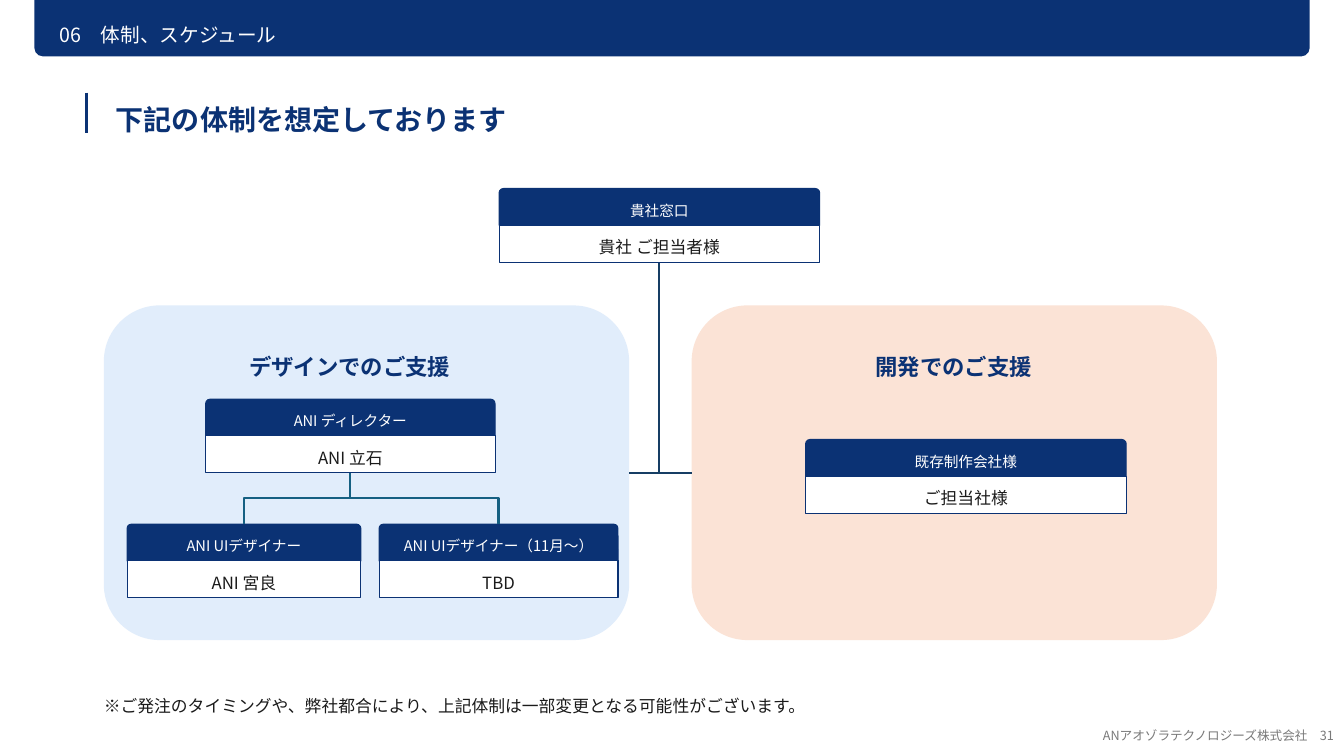
from lxml import etree
from pptx import Presentation, util as u
from pptx.dml.color import RGBColor
from pptx.enum import shapes, text
from pptx.oxml import ns

NAVY = RGBColor(0x0B, 0x32, 0x74)
WHITE = RGBColor(0xFF, 0xFF, 0xFF)
INK = RGBColor(0x1A, 0x1A, 0x1A)
GREY = RGBColor(0x79, 0x79, 0x79)
BLUE_TINT = RGBColor(0xE1, 0xED, 0xFB)
PEACH = RGBColor(0xFB, 0xE3, 0xD6)
LINK_NAVY = RGBColor(0x16, 0x3E, 0x64)
LINK_TEAL = RGBColor(0x15, 0x60, 0x82)
FONT = "Noto Sans CJK JP"

# Content
SECTION = "06\u3000体制、スケジュール"
TITLE = "下記の体制を想定しております"
NOTE = "※ご発注のタイミングや、弊社都合により、上記体制は一部変更となる可能性がございます。"
FOOTER = "ANアオゾラテクノロジーズ株式会社\u300031"
PANELS = [  # left, fill, heading, heading centre
    (1.03, BLUE_TINT, "デザインでのご支援", 3.47),
    (6.86, PEACH, "開発でのご支援", 9.46),
]
NODES = {  # role, person, left, top, width
    "client": ("貴社窓口", "貴社 ご担当者様", 4.95, 1.87, 3.18),
    "director": ("ANI ディレクター", "ANI 立石", 2.04, 3.96, 2.87),
    "designer": ("ANI UIデザイナー", "ANI 宮良", 1.26, 5.2, 2.32),
    "second designer": ("ANI UIデザイナー（11月〜）", "TBD", 3.76, 5.2, 2.37),
    "developer": ("既存制作会社様", "ご担当社様", 7.99, 4.36, 3.18),
}

# Layout in inches
WIDTH, HEIGHT = 13.33, 7.5
MARGIN, BANNER = 0.34, 0.56
PANEL_TOP, PANEL_WIDTH, PANEL_HEIGHT = 3.03, 5.21, 3.32
ROW = 0.365

deck = Presentation()
deck.slide_width, deck.slide_height = u.Inches(WIDTH), u.Inches(HEIGHT)
page = deck.slides.add_slide(deck.slide_layouts[6])


def inches(*lengths):
    return [u.Inches(length) for length in lengths]


def write(frame, words, size, colour, align, bold=False, spacing=1.3):
    frame.text = words
    para = frame.paragraphs[0]
    para.alignment = align
    para.line_spacing = spacing
    for span in para.runs:
        font = span.font
        font.size, font.bold, font.name = u.Pt(size), bold, FONT
        font.color.rgb = colour
        east_asian = etree.SubElement(span._r.get_or_add_rPr(), ns.qn("a:ea"))
        east_asian.set("typeface", FONT)


def add_text(area, words, size, colour, align=text.PP_ALIGN.LEFT, wrap=False, **style):
    box = page.shapes.add_textbox(*inches(*area))
    frame = box.text_frame
    frame.margin_left = frame.margin_right = frame.margin_top = frame.margin_bottom = 0
    frame.word_wrap = wrap
    write(frame, words, size, colour, align, **style)
    return frame


def add_block(parent, kind, area, fill, corners=None, outline=None):
    block = parent.shapes.add_shape(kind, *inches(*area))
    block.shadow.inherit = False
    block.fill.solid()
    block.fill.fore_color.rgb = fill
    for index, corner in enumerate(corners or ()):
        block.adjustments[index] = corner
    if outline is None:
        block.line.fill.background()
    else:
        block.line.color.rgb, block.line.width = outline, u.Pt(0.75)
    return block


def add_link(kind, begin, end, colour, width=1.5):
    link = page.shapes.add_connector(kind, *inches(*begin, *end))
    link.line.color.rgb, link.line.width = colour, u.Pt(width)
    etree.SubElement(link.element.spPr, ns.qn("a:effectLst"))
    return link


def add_node(role, person, left, top, width):
    group = page.shapes.add_group_shape()
    rows = [(role, 10.5, WHITE, NAVY, 0.119), (person, 12, INK, WHITE, 0)]
    for index, (words, size, colour, fill, corner) in enumerate(rows):
        area = (left, top + index * ROW, width, ROW)
        block = add_block(group, shapes.MSO_SHAPE.ROUND_2_SAME_RECTANGLE,
                          area, fill, (corner, 0), NAVY)
        frame = block.text_frame
        frame.word_wrap = True
        frame.vertical_anchor = text.MSO_ANCHOR.MIDDLE
        write(frame, words, size, colour, text.PP_ALIGN.CENTER)


def top_centre(name):
    _, _, left, top, width = NODES[name]
    return left + width / 2, top


def bottom_centre(name):
    x, top = top_centre(name)
    return x, top + 2 * ROW


def add_branch(parent, child):
    """Elbow that leaves the parent downwards: a sideways elbow turned upright."""
    (x1, y1), (x2, y2) = bottom_centre(parent), top_centre(child)
    middle_x, middle_y = (x1 + x2) / 2, (y1 + y2) / 2
    to_left = x2 < x1
    half_run = (y2 - y1) / 2 * (1 if to_left else -1)
    half_rise = abs(x2 - x1) / 2
    link = add_link(shapes.MSO_CONNECTOR.ELBOW,
                    (middle_x - half_run, middle_y - half_rise),
                    (middle_x + half_run, middle_y + half_rise), LINK_TEAL)
    link.element.spPr.find(ns.qn("a:xfrm")).set("rot", str((90 if to_left else 270) * 60000))


# Banner and title
banner = add_block(page, shapes.MSO_SHAPE.ROUND_2_SAME_RECTANGLE,
                   (MARGIN, 0, WIDTH - 2 * MARGIN, BANNER), NAVY, (0.156, 0))
banner.rotation = 180
add_link(shapes.MSO_CONNECTOR.STRAIGHT, (0.86, 0.92), (0.86, 1.32), NAVY, 2)
add_text((0.59, 0.16, 2.21, 0.29), SECTION, 14, WHITE)
add_text((1.15, 0.92, 3.93, 0.41), TITLE, 20, NAVY, bold=True)

# Support panels, each tied to the client
client_x, client_y = bottom_centre("client")
link_y = PANEL_TOP + PANEL_HEIGHT / 2
for left, fill, heading, centre in PANELS:
    add_block(page, shapes.MSO_SHAPE.ROUNDED_RECTANGLE,
              (left, PANEL_TOP, PANEL_WIDTH, PANEL_HEIGHT), fill)
    add_text((centre - 1.01, 3.42, 2.02, 0.33), heading, 16, NAVY,
             text.PP_ALIGN.CENTER, bold=True)
    edge = left + PANEL_WIDTH if left < client_x else left
    link = add_link(shapes.MSO_CONNECTOR.ELBOW, (edge, link_y), (client_x, client_y), LINK_NAVY)
    link.element.spPr.find(ns.qn("a:prstGeom")).set("prst", "bentConnector2")

# Organisation nodes and branches
for node in NODES.values():
    add_node(*node)
for designer in ("designer", "second designer"):
    add_branch("director", designer)

# Note and footer
note = add_text((1.03, 6.82, 7.97, 0.28), NOTE, 12, INK, wrap=True)
note.margin_top = note.margin_bottom = u.Inches(0.02)
footer = add_text((10.33, 7.1, 2.9, 0.4), FOOTER, 9, GREY, text.PP_ALIGN.RIGHT,
                  wrap=True, spacing=1.0)
footer.vertical_anchor = text.MSO_ANCHOR.MIDDLE

deck.save("out.pptx")
